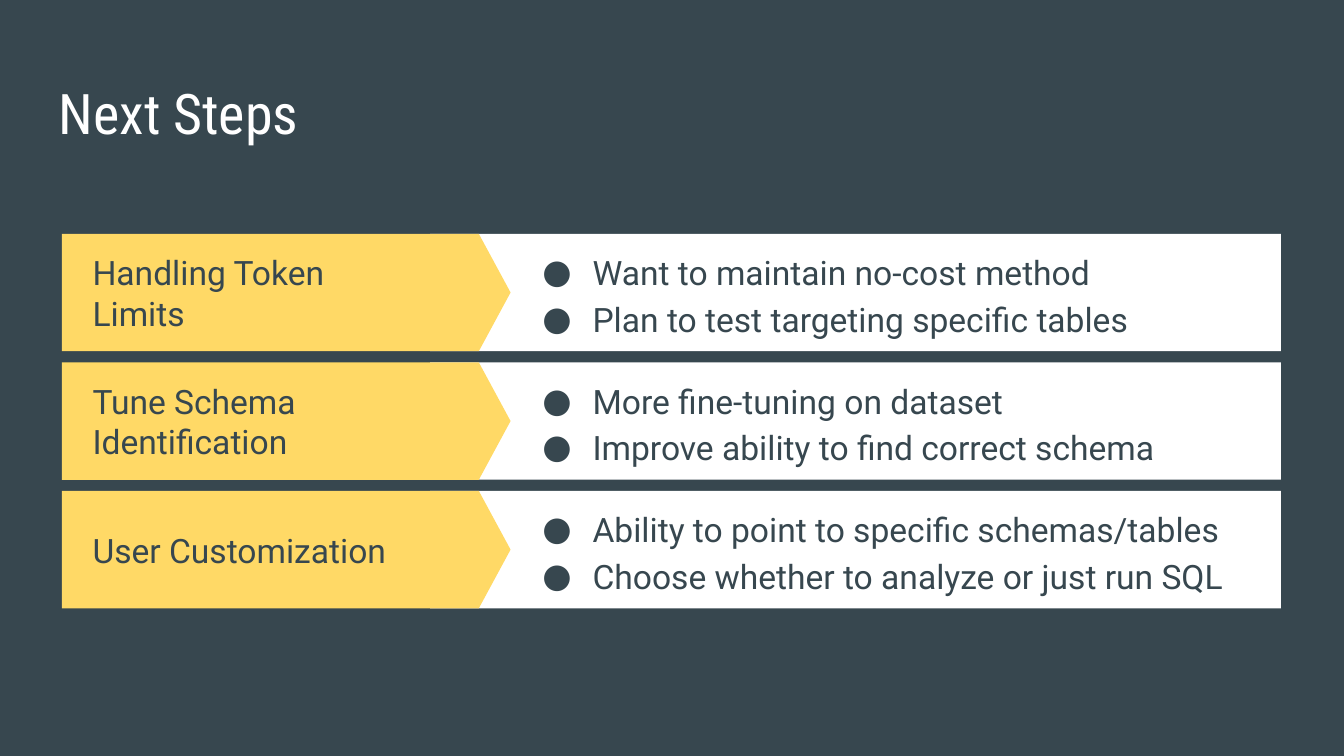
from dataclasses import dataclass

from lxml import etree
from pptx import Presentation
from pptx.dml.color import RGBColor
from pptx.enum.shapes import MSO_SHAPE
from pptx.enum.text import MSO_ANCHOR, MSO_AUTO_SIZE, PP_ALIGN
from pptx.oxml.ns import qn
from pptx.util import Cm, Pt

RECTANGLE = MSO_SHAPE.RECTANGLE
PENTAGON = MSO_SHAPE.PENTAGON
TOP, MIDDLE = MSO_ANCHOR.TOP, MSO_ANCHOR.MIDDLE
LEFT = PP_ALIGN.LEFT
NO_AUTOFIT = MSO_AUTO_SIZE.NONE
TITLE_ONLY = 5


@dataclass(frozen=True)
class Theme:
    """Colours, fonts and type sizes of the slide."""
    dark: RGBColor = RGBColor(0x37, 0x47, 0x4F)
    accent: RGBColor = RGBColor(0xFF, 0xD9, 0x66)
    light: RGBColor = RGBColor(0xFF, 0xFF, 0xFF)
    title_font: str = "Roboto Condensed"
    body_font: str = "Roboto"
    title_size: int = 30
    body_size: int = 18


THEME = Theme()
STEPS = [
    ("Handling Token Limits",
     ["Want to maintain no-cost method", "Plan to test targeting specific tables"]),
    ("Tune Schema Identification",
     ["More fine-tuning on dataset", "Improve ability to find correct schema"]),
    ("User Customization",
     ["Ability to point to specific schemas/tables",
      "Choose whether to analyze or just run SQL"]),
]


def format_frame(frame, anchor):
    """Give a text frame its margins, wrapping and anchor."""
    frame.auto_size = NO_AUTOFIT
    frame.word_wrap = True
    frame.vertical_anchor = anchor
    frame.margin_left = frame.margin_right = Cm(0.25)
    frame.margin_top = frame.margin_bottom = Cm(0.25)


def format_paragraph(paragraph, name, size, color):
    """Set the alignment and font of a paragraph."""
    paragraph.alignment = LEFT
    paragraph.font.name = name
    paragraph.font.size = Pt(size)
    paragraph.font.color.rgb = color


def add_bullet(paragraph):
    """Give a paragraph a hanging round bullet."""
    paragraph.line_spacing = 1.15
    properties = paragraph._p.get_or_add_pPr()
    properties.set("marL", str(Cm(1.27)))
    properties.set("indent", str(-Cm(0.95)))
    bullet_color = etree.SubElement(properties, qn("a:buClr"))
    etree.SubElement(bullet_color, qn("a:srgbClr"), val=str(THEME.dark))
    etree.SubElement(properties, qn("a:buFont"), typeface=THEME.body_font)
    etree.SubElement(properties, qn("a:buChar"), char="●")


def add_panel(slide, kind, left, top, width, height, color):
    """Add a plain filled shape."""
    shape = slide.shapes.add_shape(kind, left, top, width, height)
    shape.shadow.inherit = False
    shape.fill.solid()
    shape.fill.fore_color.rgb = color
    shape.line.fill.background()
    return shape


def add_body_text(slide, left, top, width, height, lines, bulleted=False):
    """Add a vertically centred text box with one paragraph per line."""
    frame = slide.shapes.add_textbox(left, top, width, height).text_frame
    format_frame(frame, MIDDLE)
    frame.text = "\n".join(lines)
    for paragraph in frame.paragraphs:
        if bulleted:
            add_bullet(paragraph)
        format_paragraph(paragraph, THEME.body_font, THEME.body_size, THEME.dark)


def place_title(slide, left, top, width, height, text):
    """Place and format the title placeholder."""
    title = slide.shapes.title
    title.left, title.top, title.width, title.height = left, top, width, height
    title.text_frame.text = text
    format_frame(title.text_frame, TOP)
    format_paragraph(title.text_frame.paragraphs[0],
                     THEME.title_font, THEME.title_size, THEME.light)


def add_step(slide, left, top, width, height, label, details):
    """Add one step: an arrow label in front of a panel of bullets."""
    panel_offset, details_offset = Cm(6.96), Cm(8.51)
    add_panel(slide, RECTANGLE, left + panel_offset, top,
              width - panel_offset, height, THEME.light)
    arrow = add_panel(slide, PENTAGON, left, top, Cm(8.48), height, THEME.accent)
    arrow.adjustments[0] = 0.27
    add_body_text(slide, left + Cm(0.33), top, Cm(6.73), height, [label])
    add_body_text(slide, left + details_offset, top,
                  width - details_offset - Cm(0.33), height, details, bulleted=True)


def build_slide(presentation):
    """Build the slide of next steps."""
    slide = presentation.slides.add_slide(presentation.slide_layouts[TITLE_ONLY])
    slide.background.fill.solid()
    slide.background.fill.fore_color.rgb = THEME.dark
    place_title(slide, Cm(0.86), Cm(1.24), Cm(23.67), Cm(1.6), "Next Steps")
    for index, (label, details) in enumerate(STEPS):
        add_step(slide, Cm(1.17), Cm(4.42) + index * Cm(2.43),
                 Cm(23.04), Cm(2.22), label, details)


def main():
    """Create and save the presentation."""
    presentation = Presentation()
    presentation.slide_width = Cm(25.4)
    presentation.slide_height = Cm(14.29)
    build_slide(presentation)
    presentation.save("out.pptx")


if __name__ == "__main__":
    main()
